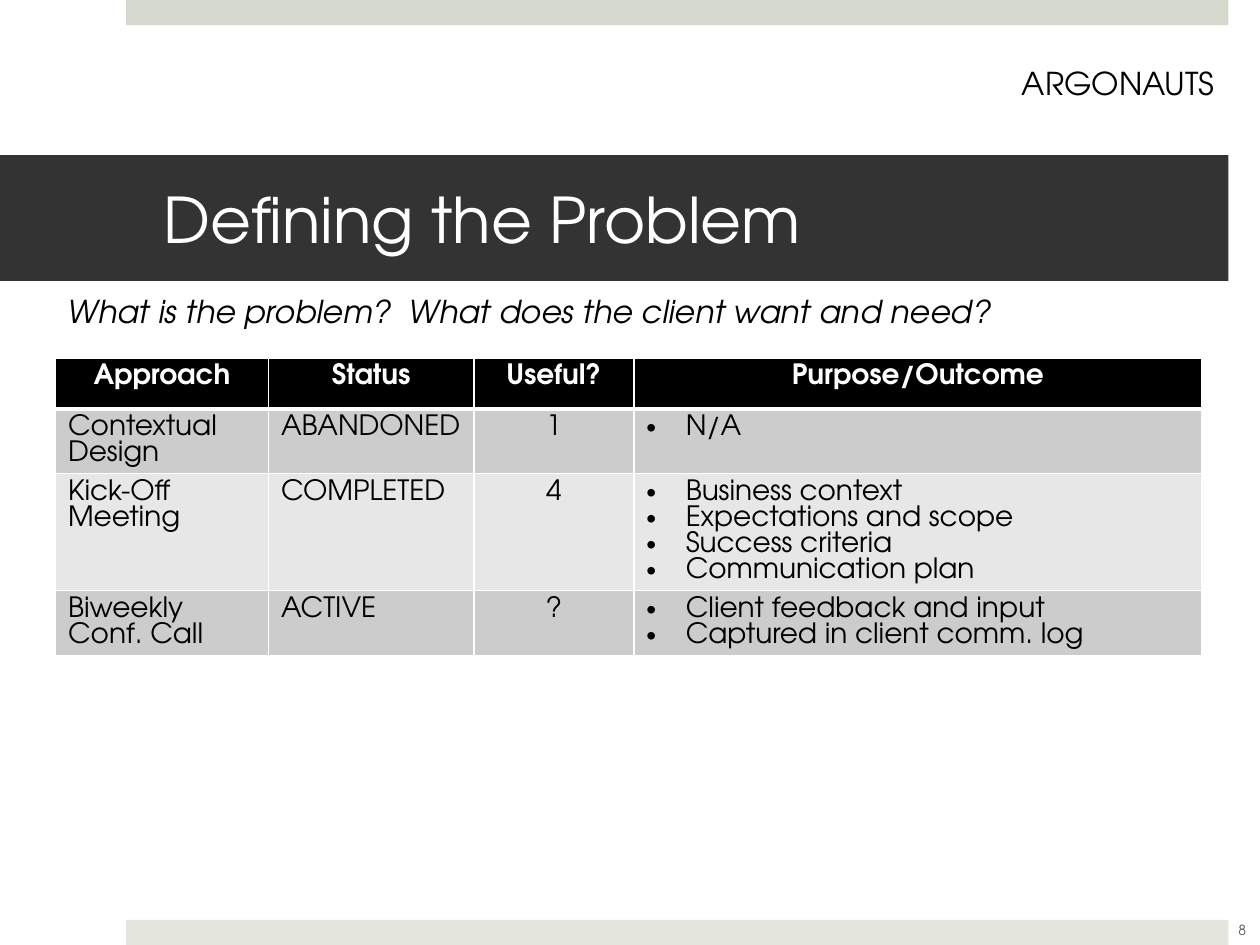
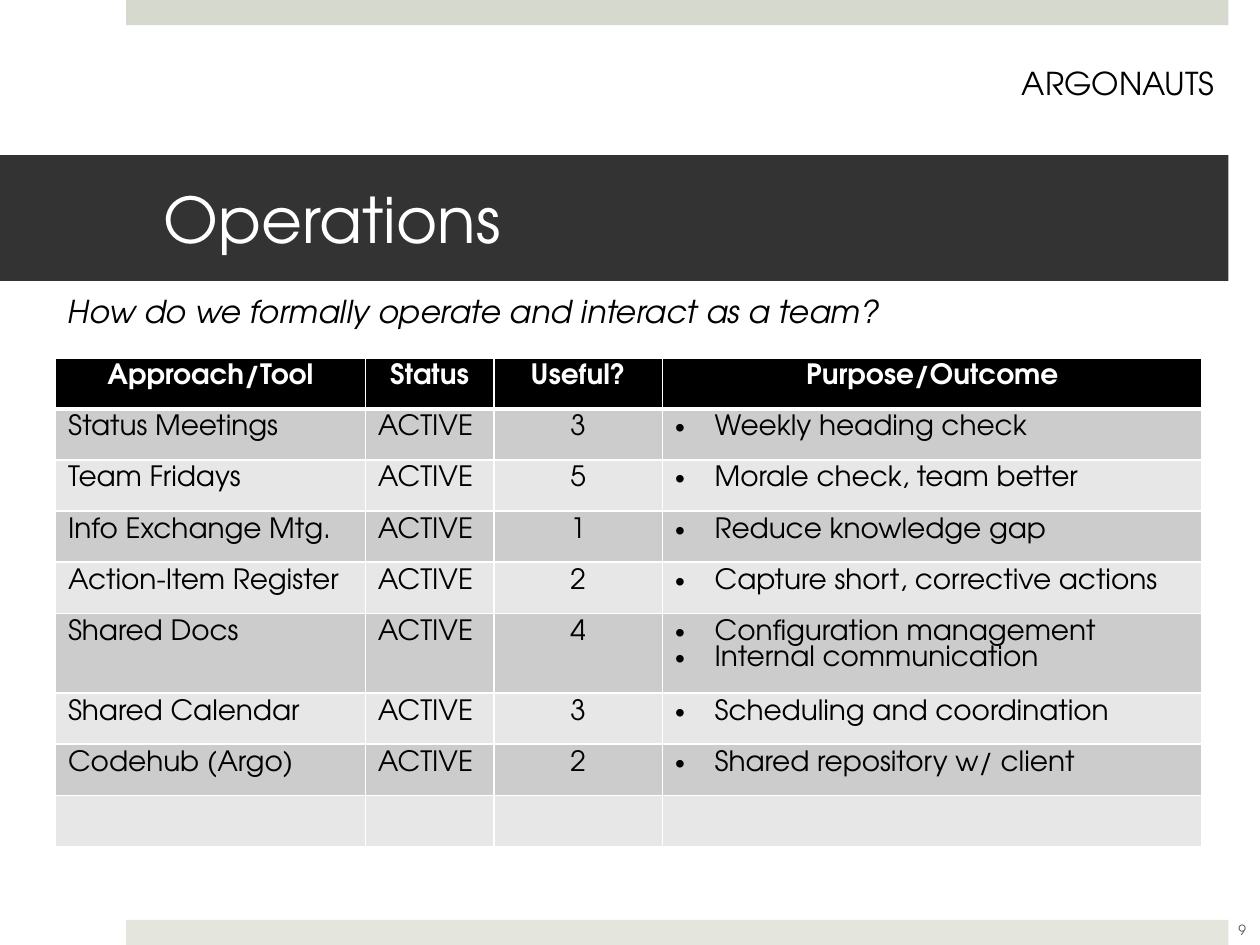
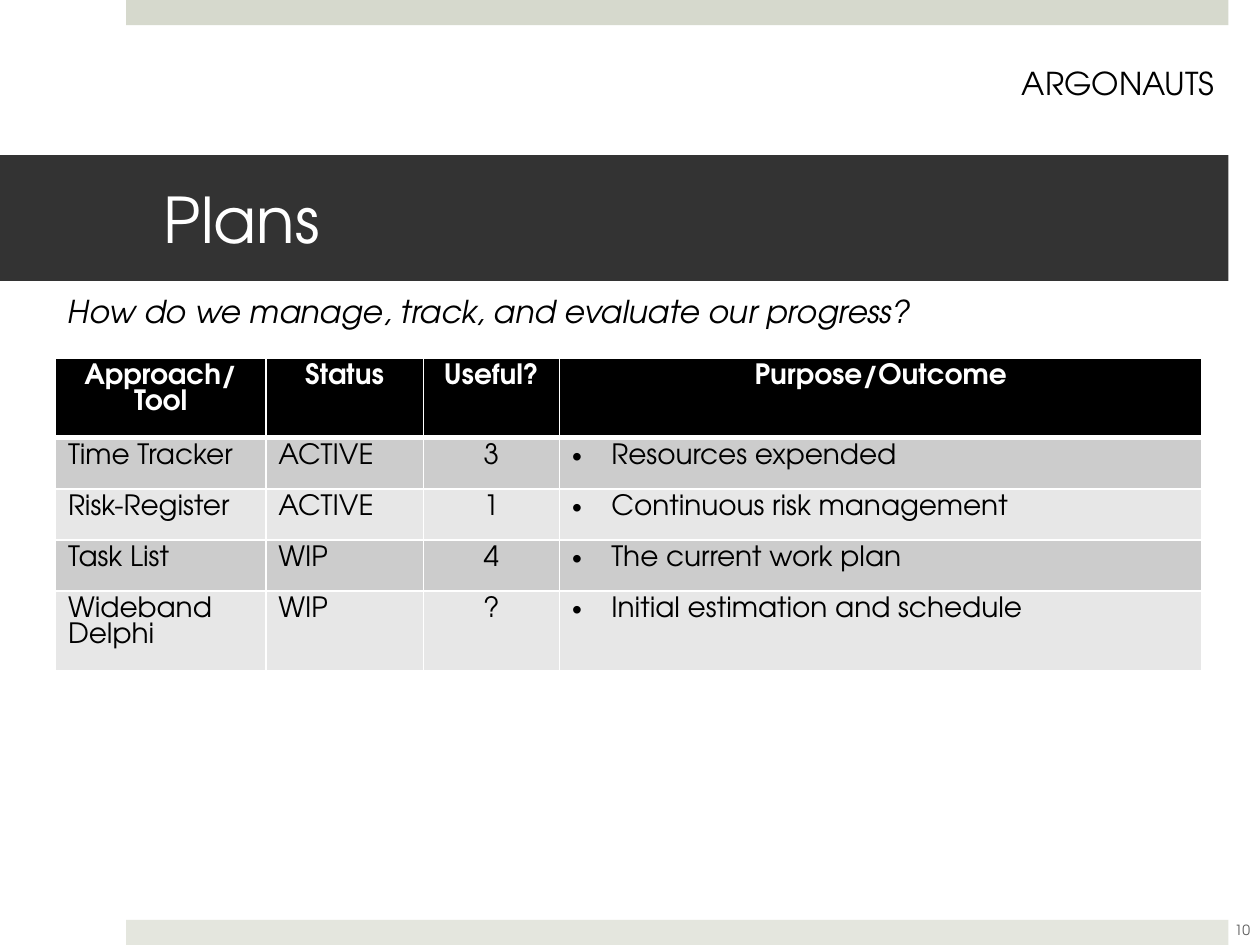
"""Build three slides that review a team's approaches, tools and plans."""
import pptx
import pptx.dml.color
import pptx.enum.shapes
import pptx.enum.text
import pptx.oxml.ns
import pptx.util
from lxml import etree

Pt = pptx.util.Pt
ALIGN = pptx.enum.text.PP_ALIGN
MIDDLE = pptx.enum.text.MSO_ANCHOR.MIDDLE

TEAM = "ARGONAUTS"
FIRST_PAGE = 8
TOPICS = [
    {
        "title": "Defining the Problem",
        "question": "What is the problem?  What does the client want and need?",
        "question_width": 551.5,
        "heading": "Approach",
        "leading_columns": (121.7, 117.4, 91.4),
        "entries": [
            ("Contextual Design", "ABANDONED", "1", ["N/A"]),
            ("Kick-Off Meeting", "COMPLETED", "4",
             ["Business context", "Expectations and scope",
              "Success criteria", "Communication plan"]),
            ("Biweekly Conf. Call", "ACTIVE", "?",
             ["Client feedback and input", "Captured in client comm. log"]),
        ],
    },
    {
        "title": "Operations",
        "question": "How do we formally operate and interact as a team?",
        "question_width": 489.6,
        "heading": "Approach/Tool",
        "leading_columns": (177.1, 73.4, 96.5),
        "entries": [
            ("Status Meetings", "ACTIVE", "3", ["Weekly heading check"]),
            ("Team Fridays", "ACTIVE", "5", ["Morale check, team better"]),
            ("Info Exchange Mtg.", "ACTIVE", "1", ["Reduce knowledge gap"]),
            ("Action-Item Register", "ACTIVE", "2",
             ["Capture short, corrective actions"]),
            ("Shared Docs", "ACTIVE", "4",
             ["Configuration management", "Internal communication"]),
            ("Shared Calendar", "ACTIVE", "3", ["Scheduling and coordination"]),
            ("Codehub (Argo)", "ACTIVE", "2", ["Shared repository w/ client"]),
            ("", "", "", []),
        ],
    },
    {
        "title": "Plans",
        "question": "How do we manage, track, and evaluate our progress?",
        "question_width": 508.3,
        "heading": "Approach/Tool",
        "leading_columns": (120.2, 90, 77.8),
        "entries": [
            ("Time Tracker", "ACTIVE", "3", ["Resources expended"]),
            ("Risk-Register", "ACTIVE", "1", ["Continuous risk management"]),
            ("Task List", "WIP", "4", ["The current work plan"]),
            ("Wideband Delphi", "WIP", "?", ["Initial estimation and schedule"]),
        ],
    },
]
SHARED_HEADINGS = ["Status", "Useful?", "Purpose/Outcome"]

THEME = {
    "font": "TeX Gyre Adventor",
    "top_band": "D6D9CD",
    "bottom_band": "E4E6DE",
    "title_band": "333333",
    "heading_fill": "000000",
    "row_fills": ("CCCCCC", "E7E7E7"),
    "border": "FFFFFF",
    "styles": {
        "title": ("FFFFFF", {"size": Pt(36)}),
        "question": ("000000", {"size": Pt(18), "italic": True}),
        "team": ("000000", {"size": Pt(18)}),
        "page": ("595959", {"size": Pt(8)}),
        "heading": ("FFFFFF", {"size": Pt(16), "bold": True}),
        "entry": ("000000", {"size": Pt(16), "bold": False}),
    },
}
PAGE_WIDTH, PAGE_HEIGHT = 720, 540
BAND_LEFT, BAND_RIGHT, BAND_HEIGHT = 72, 702, 14.4
LEFT = 31.7
TABLE_TOP, TABLE_WIDTH, ROW_HEIGHT = 204.5, 655.2, 29.2
BULLET_INDENT = 22.5
TITLE_FRAME = {"margin_left": Pt(93.6), "margin_right": Pt(21.6),
               "vertical_anchor": MIDDLE, "word_wrap": True}


def rgb(value):
    return pptx.dml.color.RGBColor.from_string(value)


def apply(target, values):
    for name, value in values.items():
        setattr(target, name, value)


def write(frame, lines, style, align=ALIGN.LEFT, bulleted=False):
    color, values = THEME["styles"][style]
    for index, line in enumerate(lines):
        paragraph = frame.add_paragraph() if index else frame.paragraphs[0]
        paragraph.alignment = align
        if bulleted:
            properties = paragraph._p.get_or_add_pPr()
            properties.set("marL", str(Pt(BULLET_INDENT)))
            properties.set("indent", str(-Pt(BULLET_INDENT)))
            for tag, key, value in (("a:buFont", "typeface", "Arial"),
                                    ("a:buChar", "char", "•")):
                etree.SubElement(properties, pptx.oxml.ns.qn(tag)).set(key, value)
        run = paragraph.add_run()
        run.text = line
        apply(run.font, {"name": THEME["font"], **values})
        run.font.color.rgb = rgb(color)


def add_band(slide, box, fill):
    band = slide.shapes.add_shape(
        pptx.enum.shapes.MSO_SHAPE.RECTANGLE, *map(Pt, box))
    band.shadow.inherit = False
    band.fill.solid()
    band.fill.fore_color.rgb = rgb(fill)
    band.line.fill.background()
    return band.text_frame


def add_label(slide, box, text, style, align=ALIGN.LEFT, **values):
    frame = slide.shapes.add_textbox(*map(Pt, box)).text_frame
    apply(frame, {"word_wrap": False, **values})
    write(frame, [text], style, align)


def paint_cell(cell, fill, top, bottom):
    properties = cell._tc.get_or_add_tcPr()
    for side, width in (("L", 1), ("R", 1), ("T", top), ("B", bottom)):
        border = etree.SubElement(
            properties, pptx.oxml.ns.qn("a:ln" + side), w=str(Pt(width)))
        solid = etree.SubElement(border, pptx.oxml.ns.qn("a:solidFill"))
        etree.SubElement(solid, pptx.oxml.ns.qn("a:srgbClr"), val=THEME["border"])
    cell.fill.solid()
    cell.fill.fore_color.rgb = rgb(fill)


def add_review(slide, topic):
    headings = [topic["heading"], *SHARED_HEADINGS]
    entries = topic["entries"]
    row_count = len(entries) + 1
    review = slide.shapes.add_table(
        row_count, len(headings), Pt(LEFT), Pt(TABLE_TOP),
        Pt(TABLE_WIDTH), Pt(row_count * ROW_HEIGHT)).table
    leading = topic["leading_columns"]
    for column, width in zip(review.columns, (*leading, TABLE_WIDTH - sum(leading))):
        column.width = Pt(width)
    for row in review.rows:
        row.height = Pt(ROW_HEIGHT)
    for column, heading in enumerate(headings):
        cell = review.cell(0, column)
        paint_cell(cell, THEME["heading_fill"], 1, 3)
        write(cell.text_frame, [heading], "heading", ALIGN.CENTER)
    for row, (approach, status, useful, outcomes) in enumerate(entries, 1):
        fill = THEME["row_fills"][(row - 1) % 2]
        for column, lines in enumerate(([approach], [status], [useful], outcomes)):
            cell = review.cell(row, column)
            paint_cell(cell, fill, 3 if row == 1 else 1, 1)
            if any(lines):
                write(cell.text_frame, lines, "entry",
                      ALIGN.CENTER if column == 2 else ALIGN.LEFT, column == 3)


def add_topic(deck, topic, page):
    slide = deck.slides.add_slide(deck.slide_layouts[6])
    for top, fill in ((0, "top_band"), (PAGE_HEIGHT - BAND_HEIGHT, "bottom_band")):
        add_band(slide, (BAND_LEFT, top, BAND_RIGHT - BAND_LEFT, BAND_HEIGHT),
                 THEME[fill])
    title = add_band(slide, (0, 88.6, BAND_RIGHT, 72), THEME["title_band"])
    apply(title, TITLE_FRAME)
    write(title, [topic["title"]], "title")
    add_review(slide, topic)
    add_label(slide, (LEFT, 163.4, topic["question_width"], 29),
              topic["question"], "question")
    add_label(slide, (576, 33.1, 126, 29), TEAM, "team", ALIGN.CENTER)
    add_label(slide, (691.9, 517, 36, 28.8), str(page), "page", ALIGN.CENTER,
              vertical_anchor=MIDDLE, word_wrap=True)


def main():
    deck = pptx.Presentation()
    apply(deck, {"slide_width": Pt(PAGE_WIDTH), "slide_height": Pt(PAGE_HEIGHT)})
    for page, topic in enumerate(TOPICS, FIRST_PAGE):
        add_topic(deck, topic, page)
    deck.save("out.pptx")


if __name__ == "__main__":
    main()
